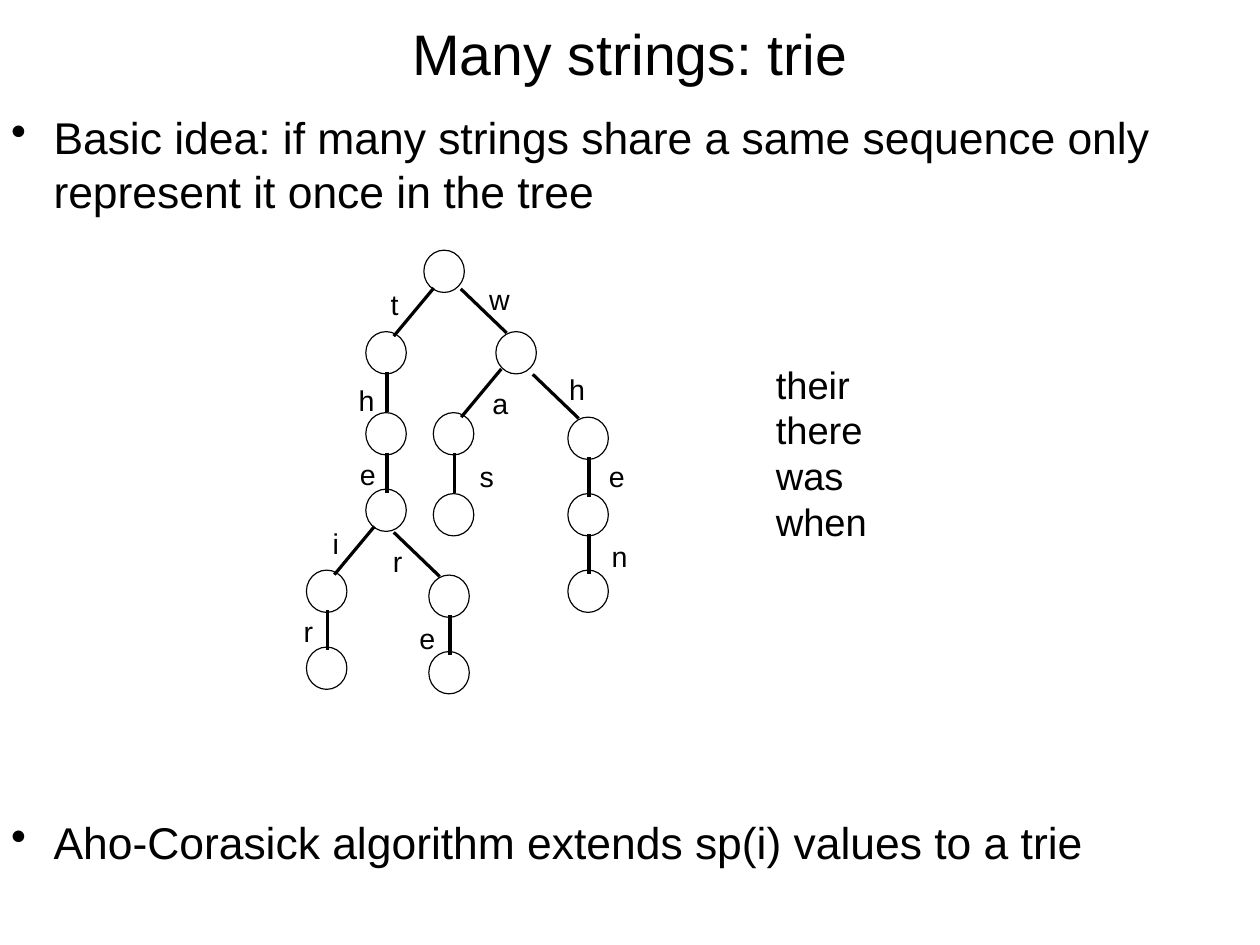
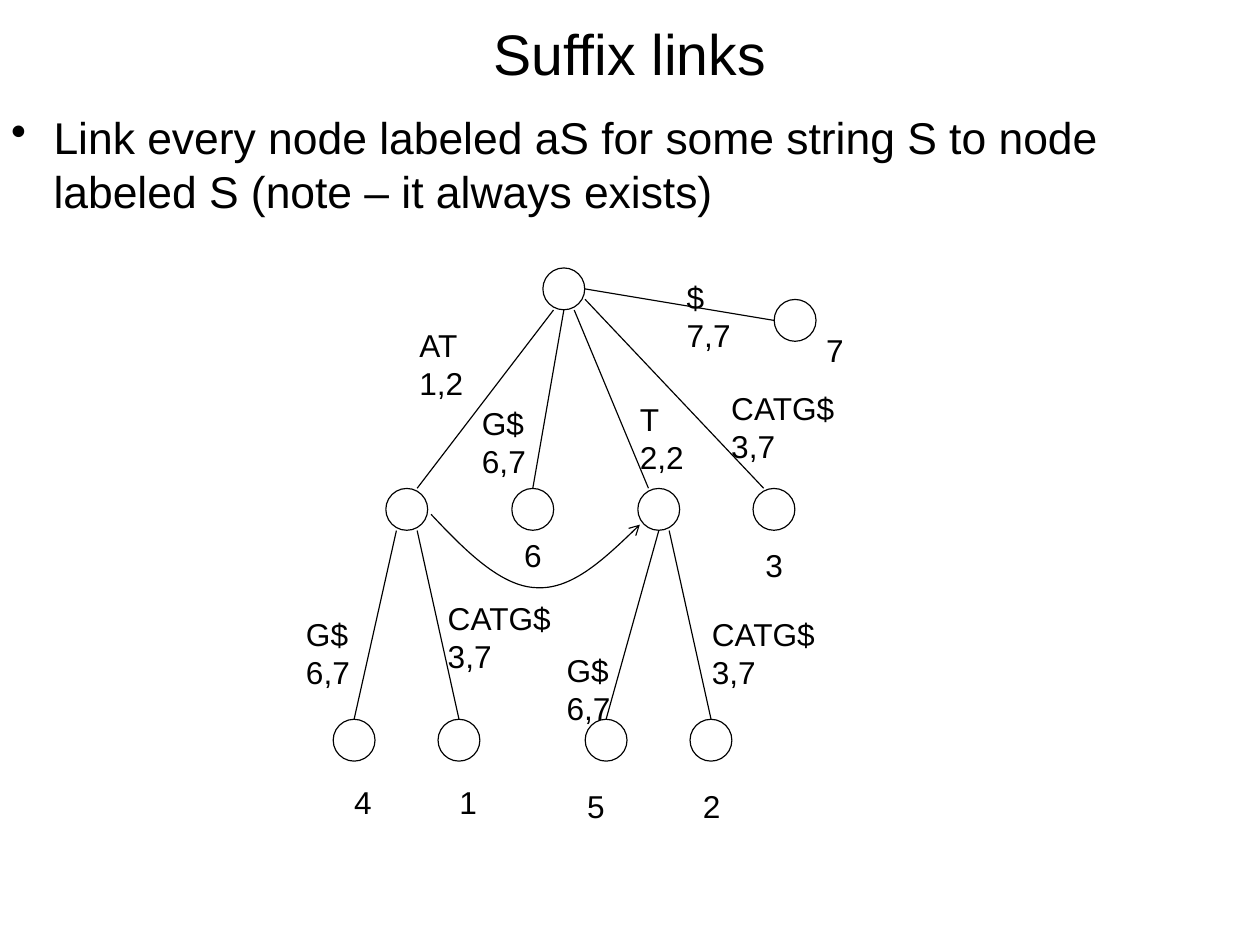
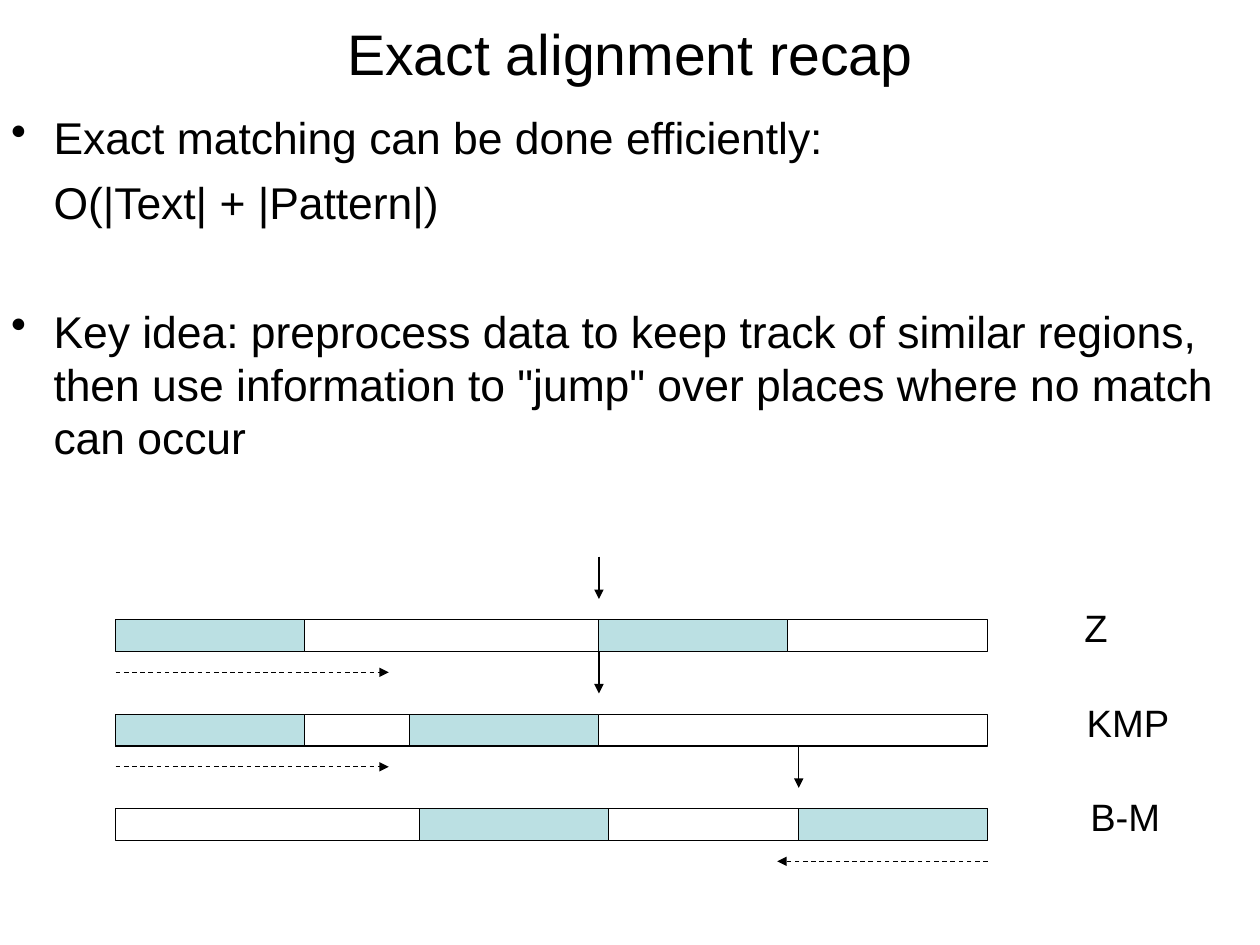
from lxml.etree import SubElement
from pptx import Presentation
from pptx.dml.color import RGBColor
from pptx.enum.dml import MSO_LINE
from pptx.enum.shapes import MSO_CONNECTOR, MSO_SHAPE
from pptx.enum.text import MSO_ANCHOR, PP_ALIGN
from pptx.oxml.ns import qn
from pptx.util import Cm, Pt

STRAIGHT = MSO_CONNECTOR.STRAIGHT
OVAL = MSO_SHAPE.OVAL
RECTANGLE = MSO_SHAPE.RECTANGLE
DASH = MSO_LINE.DASH
MIDDLE = MSO_ANCHOR.MIDDLE
CENTER = PP_ALIGN.CENTER

FONT = "Arial"
COLORS = {"ink": "000000", "match": "BBE0E3"}
INK = RGBColor.from_string(COLORS["ink"])
MATCH = RGBColor.from_string(COLORS["match"])
HAIRLINE, THIN = Pt(0), Pt(0.75)
LINE_HEIGHT = 1.2
BODY_SIZE = 28
BODY_GAP = 7
BLANK_LINE = BODY_SIZE * LINE_HEIGHT
BULLET_INDENT = Cm(0.94)


def add_text(slide, left, top, width, height, lines, size):
    """Add a text box with one paragraph for each line."""
    box = slide.shapes.add_textbox(Cm(left), Cm(top), Cm(width), Cm(height))
    frame = box.text_frame
    frame.word_wrap = True
    frame.text = "\n".join(lines)
    for paragraph in frame.paragraphs:
        paragraph.line_spacing = Pt(size * LINE_HEIGHT)
        paragraph.font.name = FONT
        paragraph.font.size = Pt(size)
        paragraph.font.color.rgb = INK
    return frame


def style_line(shape, width, arrow=None):
    """Give a shape or connector a flat black line, with an optional arrowhead."""
    shape.line.color.rgb = INK
    shape.line.width = width
    properties = shape._element.spPr
    if arrow:
        SubElement(properties.find(qn("a:ln")), qn("a:tailEnd"), type=arrow)
    SubElement(properties, qn("a:effectLst"))


presentation = Presentation()
presentation.slide_width = Cm(28)
presentation.slide_height = Cm(21)

# Titles and body text: (text, has bullet, space before in points)
contents = [
    ("Many strings: trie", [
        ("Basic idea: if many strings share a same sequence only "
         "represent it once in the tree", True, BODY_GAP),
        ("Aho-Corasick algorithm extends sp(i) values to a trie",
         True, BODY_GAP + 11 * BLANK_LINE),
    ]),
    ("Suffix links", [
        ("Link every node labeled aS for some string S to node "
         "labeled S (note – it always exists)", True, BODY_GAP),
    ]),
    ("Exact alignment recap", [
        ("Exact matching can be done efficiently:", True, BODY_GAP),
        ("O(|Text| + |Pattern|)", False, BODY_GAP),
        ("Key idea: preprocess data to keep track of similar regions, then use "
         "information to \"jump\" over places where no match can occur",
         True, 2 * BODY_GAP + BLANK_LINE),
    ]),
]

slides = []
for heading, body in contents:
    slide = presentation.slides.add_slide(presentation.slide_layouts[5])
    slides.append(slide)
    title = slide.shapes.title
    title.left, title.top, title.width, title.height = Cm(0), Cm(0.18), Cm(28), Cm(1.96)
    title.text_frame.text = heading
    title.text_frame.vertical_anchor = MIDDLE
    paragraph = title.text_frame.paragraphs[0]
    paragraph.alignment = CENTER
    paragraph.font.name = FONT
    paragraph.font.size = Pt(36)
    paragraph.font.color.rgb = INK

    frame = add_text(slide, 0, 2.33, 28, 18.67, [text for text, _, _ in body], BODY_SIZE)
    for paragraph, (_, has_bullet, space_before) in zip(frame.paragraphs, body):
        paragraph.space_before = Pt(space_before)
        properties = paragraph._p.get_or_add_pPr()
        properties.set("marL", str(BULLET_INDENT))
        if has_bullet:
            properties.set("indent", str(-BULLET_INDENT))
            bullet = properties.makeelement(qn("a:buChar"), {"char": "•"})
            properties.find(qn("a:defRPr")).addprevious(bullet)

trie_slide, suffix_slide, recap_slide = slides

# Trie: each prefix has its node corner and the corner of its edge letter
add_text(trie_slide, 16.99, 7.9, 2.7, 4.04, ["their", "there", "was", "when"], 24)
trie = {
    "": ((9.42, 5.56), None),
    "t": ((8.13, 7.37), (8.43, 6.25)),
    "th": ((8.13, 9.17), (7.72, 8.38)),
    "the": ((8.13, 10.87), (7.75, 10.03)),
    "thei": ((6.81, 12.67), (7.14, 11.56)),
    "their": ((6.81, 14.38), (6.5, 13.51)),
    "ther": ((9.53, 12.78), (8.48, 11.96)),
    "there": ((9.53, 14.48), (9.07, 13.67)),
    "w": ((11.02, 7.37), (10.62, 6.15)),
    "wa": ((9.63, 9.17), (10.69, 8.46)),
    "was": ((9.63, 10.97), (10.41, 10.08)),
    "wh": ((12.62, 9.27), (12.4, 8.13)),
    "whe": ((12.62, 10.97), (13.28, 10.08)),
    "when": ((12.62, 12.67), (13.34, 11.86)),
}
for prefix, ((left, top), letter_corner) in trie.items():
    node = trie_slide.shapes.add_shape(OVAL, Cm(left), Cm(top), Cm(0.9), Cm(0.94))
    node.fill.background()
    style_line(node, HAIRLINE)
    if not prefix:
        continue
    parent_left, parent_top = trie[prefix[:-1]][0]
    if left < parent_left:
        end_x, end_y, run, drop = left + 0.62, top + 0.1, -0.89, 1.07
    elif left > parent_left:
        end_x, end_y, run, drop = left + 0.24, top + 0.03, 1.02, 0.98
    else:
        end_x, end_y, run, drop = left + 0.47, parent_top + 1.78, 0, 0.89
    edge = trie_slide.shapes.add_connector(
        STRAIGHT, Cm(end_x - run), Cm(end_y - drop), Cm(end_x), Cm(end_y))
    style_line(edge, HAIRLINE)
    add_text(trie_slide, *letter_corner, 1, 0.97, [prefix[-1]], 18)

# Suffix tree nodes: centre, then leaf number and its corner
DIAMETER = 0.93
HALF, QUARTER = 0.47, 0.23
LABEL_SIZE = 19.9
suffix_nodes = {
    "root": ((12.53, 6.42), None),
    "AT": ((9.04, 11.32), None),
    "T": ((14.64, 11.32), None),
    "1": ((10.2, 16.45), (9.96, 17.27)),
    "2": ((15.8, 16.45), (15.37, 17.37)),
    "3": ((17.2, 11.32), (16.76, 12.01)),
    "4": ((7.87, 16.45), (7.62, 17.27)),
    "5": ((13.47, 16.45), (12.8, 17.37)),
    "6": ((11.84, 11.32), (11.4, 11.79)),
    "7": ((17.67, 7.12), (18.11, 7.24)),
}
for name, ((x, y), number_corner) in suffix_nodes.items():
    node = suffix_slide.shapes.add_shape(
        OVAL, Cm(x - DIAMETER / 2), Cm(y - DIAMETER / 2), Cm(DIAMETER), Cm(DIAMETER))
    node.fill.background()
    style_line(node, THIN)
    if number_corner:
        add_text(suffix_slide, *number_corner, 1, 1.04, [name], LABEL_SIZE)

# Suffix tree edges: parent, child, offsets from both centres, label, label corner
suffix_edges = [
    ("root", "AT", (-QUARTER, HALF), (QUARTER, -HALF), ["AT", "1,2"], (9.07, 7.11)),
    ("root", "6", (0, HALF), (0, -HALF), ["G$", "6,7"], (10.46, 8.86)),
    ("root", "T", (QUARTER, HALF), (-QUARTER, -HALF), ["T", "2,2"], (13.97, 8.76)),
    ("root", "3", (HALF, QUARTER), (-QUARTER, -HALF), ["CATG$", "3,7"], (16, 8.51)),
    ("root", "7", (HALF, 0), (-HALF, 0), ["$", "7,7"], (15.01, 6.05)),
    ("AT", "4", (-QUARTER, HALF), (0, -HALF), ["G$", "6,7"], (6.55, 13.54)),
    ("AT", "1", (QUARTER, HALF), (0, -HALF), ["CATG$", "3,7"], (9.7, 13.18)),
    ("T", "5", (0, HALF), (0, -HALF), ["G$", "6,7"], (12.34, 14.35)),
    ("T", "2", (QUARTER, HALF), (0, -HALF), ["CATG$", "3,7"], (15.57, 13.54)),
]
for parent, child, (start_dx, start_dy), (end_dx, end_dy), lines, corner in suffix_edges:
    (start_x, start_y), (end_x, end_y) = suffix_nodes[parent][0], suffix_nodes[child][0]
    edge = suffix_slide.shapes.add_connector(
        STRAIGHT, Cm(start_x + start_dx), Cm(start_y + start_dy),
        Cm(end_x + end_dx), Cm(end_y + end_dy))
    style_line(edge, THIN)
    width = 2.9 if lines[0] == "CATG$" else 1.6
    add_text(suffix_slide, *corner, width, 1.83, lines, LABEL_SIZE)

# Suffix link: two Bezier curves, three points each
link_points = [(10.34, 12.24), (11.13, 13.03), (11.91, 13.06),
               (12.67, 13.11), (13.46, 12.4), (14.22, 11.66)]
builder = suffix_slide.shapes.build_freeform(Cm(9.58), Cm(11.43))
builder.add_line_segments([(Cm(x), Cm(y)) for x, y in link_points], close=False)
suffix_link = builder.convert_to_shape()
segments = list(suffix_link._element.iter(qn("a:lnTo")))
outline = segments[0].getparent()
for first in (0, 3):
    curve = SubElement(outline, qn("a:cubicBezTo"))
    for segment in segments[first:first + 3]:
        curve.append(segment[0])
        outline.remove(segment)
suffix_link.fill.background()
style_line(suffix_link, THIN, "arrow")

# Recap bars: name, name left, matches, pointer, scan start and end
BAR_LEFT, BAR_WIDTH, BAR_HEIGHT = 2.57, 19.38, 0.71
BAR_TOP, BAR_STEP = 13.77, 2.1
MATCH_WIDTH = 4.2
BAR_RIGHT = BAR_LEFT + BAR_WIDTH
bars = [
    ("Z", 23.85, (BAR_LEFT, 13.31), 13.31, BAR_LEFT, 8.64),
    ("KMP", 23.9, (BAR_LEFT, 9.11), 13.31, BAR_LEFT, 8.64),
    ("B-M", 23.98, (9.32, BAR_RIGHT - MATCH_WIDTH), 17.75, BAR_RIGHT, 17.27),
]
for row, (name, name_left, matches, pointer_x, scan_start, scan_end) in enumerate(bars):
    top = BAR_TOP + row * BAR_STEP
    pieces = [(BAR_LEFT, BAR_WIDTH, False)]
    pieces += [(left, MATCH_WIDTH, True) for left in matches]
    for left, width, is_match in pieces:
        piece = recap_slide.shapes.add_shape(
            RECTANGLE, Cm(left), Cm(top), Cm(width), Cm(BAR_HEIGHT))
        if is_match:
            piece.fill.solid()
            piece.fill.fore_color.rgb = MATCH
        else:
            piece.fill.background()
        style_line(piece, THIN)

    pointer = recap_slide.shapes.add_connector(
        STRAIGHT, Cm(pointer_x), Cm(top - 1.4), Cm(pointer_x), Cm(top - 0.46))
    style_line(pointer, THIN, "triangle")
    scan_y = Cm(top + 1.17)
    scan = recap_slide.shapes.add_connector(
        STRAIGHT, Cm(scan_start), scan_y, Cm(scan_end), scan_y)
    scan.line.dash_style = DASH
    style_line(scan, THIN, "triangle")
    add_text(recap_slide, name_left, top - 0.46, 2.4, 1.19, [name], 24)

presentation.save("out.pptx")
